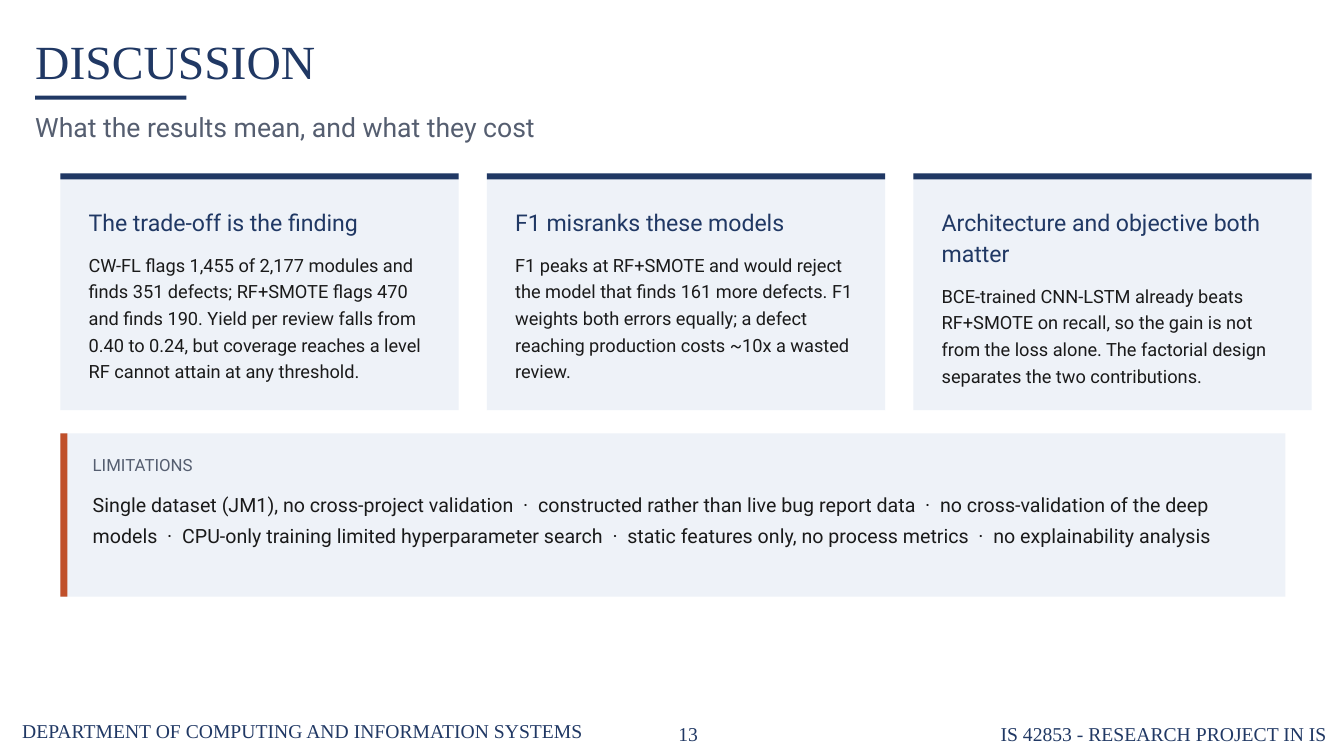
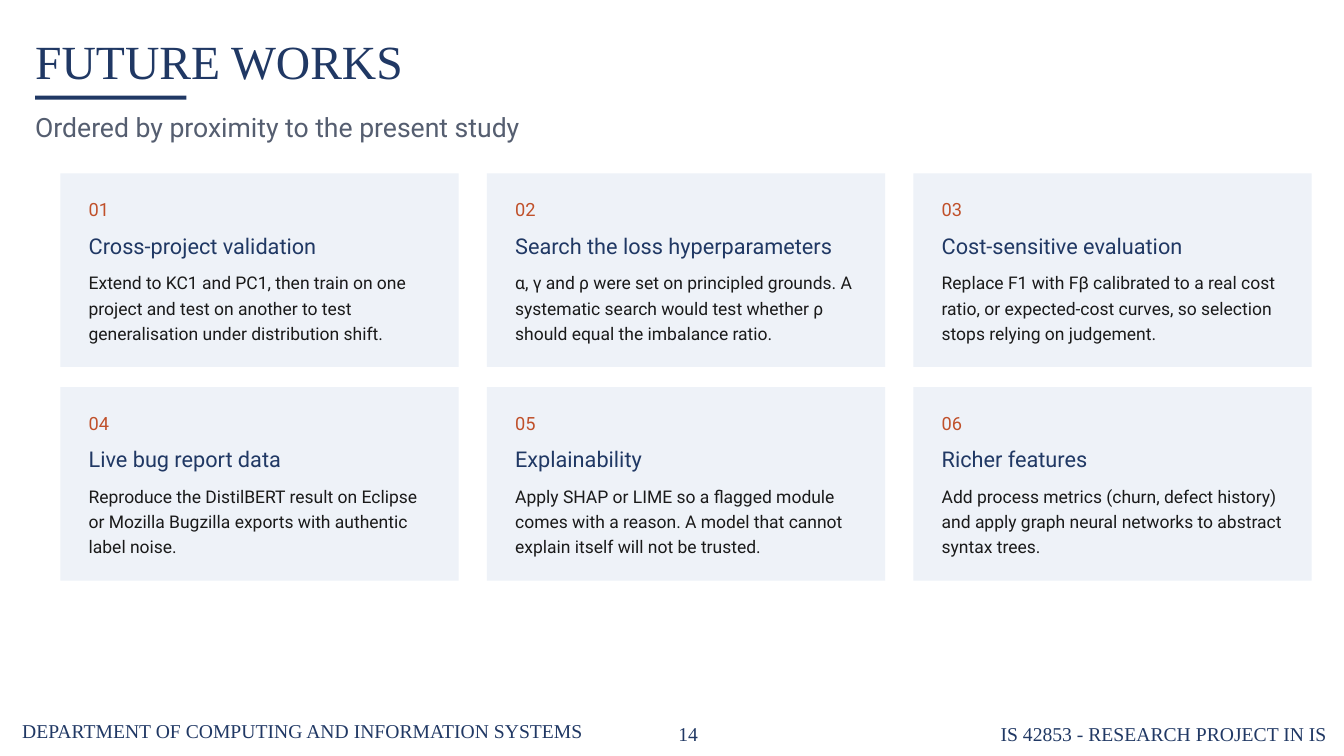
from pptx import Presentation
from pptx.dml.color import RGBColor
from pptx.enum import shapes, text
from pptx.util import Inches, Pt

NAVY, RUST, GREY, INK, PANEL = "203864", "C0502A", "555E70", "1A1A1A", "EEF2F8"
SERIF, SANS = "Times New Roman", "Roboto"
LEFT, CENTER, RIGHT = text.PP_ALIGN.LEFT, text.PP_ALIGN.CENTER, text.PP_ALIGN.RIGHT

CARD_LEFT, CARD_TOP, CARD_W = 0.6, 1.72, 3.95
COL_STEP, ROW_STEP = 4.23, 2.12
PAD, TEXT_W = 0.28, 3.4


def add_rect(s, x, y, w, h, color):
    sp = s.shapes.add_shape(shapes.MSO_SHAPE.RECTANGLE,
                            Inches(x), Inches(y), Inches(w), Inches(h))
    sp.shadow.inherit = False
    sp.fill.solid()
    sp.fill.fore_color.rgb = RGBColor.from_string(color)
    sp.line.fill.background()


def add_text(s, x, y, w, h, paragraphs, font=SANS, align=LEFT, anchor=text.MSO_ANCHOR.TOP):
    """Each paragraph is (wording, size, colour, line spacing, points after)."""
    tf = s.shapes.add_textbox(Inches(x), Inches(y), Inches(w), Inches(h)).text_frame
    tf.margin_left = tf.margin_top = tf.margin_right = tf.margin_bottom = 0
    tf.word_wrap = True
    tf.auto_size = text.MSO_AUTO_SIZE.SHAPE_TO_FIT_TEXT
    tf.vertical_anchor = anchor
    for i, (wording, size, color, spacing, after) in enumerate(paragraphs):
        p = tf.add_paragraph() if i else tf.paragraphs[0]
        p.alignment = align
        p.line_spacing = spacing
        p.space_after = Pt(after)
        r = p.add_run()
        r.text = wording
        r.font.name = font
        r.font.size = Pt(size)
        r.font.color.rgb = RGBColor.from_string(color)


prs = Presentation()
prs.slide_width, prs.slide_height = Inches(13.33), Inches(7.5)

# Shared title, rule, subtitle and footer
headings = [
    ("DISCUSSION", "What the results mean, and what they cost"),
    ("FUTURE WORKS", "Ordered by proximity to the present study"),
]
for number, (title, subtitle) in enumerate(headings, start=13):
    s = prs.slides.add_slide(prs.slide_layouts[6])
    for x, y, w, h, wording, align in [
        (0.22, 7.1, 6.02, 0.32, "DEPARTMENT OF COMPUTING AND INFORMATION SYSTEMS", LEFT),
        (9.72, 7.13, 3.44, 0.28, "IS 42853 - RESEARCH PROJECT IN IS", RIGHT),
        (6.39, 7.13, 0.87, 0.28, str(number), CENTER),
    ]:
        add_text(s, x, y, w, h, [(wording, 14, NAVY, 1.15, 0)], SERIF, align)
    add_text(s, 0.35, 0.2, 10.3, 0.72, [(title, 34, NAVY, 1.15, 0)], SERIF,
             anchor=text.MSO_ANCHOR.MIDDLE)
    add_rect(s, 0.35, 0.95, 1.5, 0.04, NAVY)
    add_text(s, 0.35, 1.05, 12.4, 0.44, [(subtitle, 19, GREY, 1.15, 0)])

discussion, future = prs.slides

# Discussion: three findings above the limitations
findings = [
    ("The trade-off is the finding",
     "CW-FL flags 1,455 of 2,177 modules and finds 351 defects; RF+SMOTE flags 470 and "
     "finds 190. Yield per review falls from 0.40 to 0.24, but coverage reaches a level "
     "RF cannot attain at any threshold."),
    ("F1 misranks these models",
     "F1 peaks at RF+SMOTE and would reject the model that finds 161 more defects. F1 "
     "weights both errors equally; a defect reaching production costs ~10x a wasted review."),
    ("Architecture and objective both matter",
     "BCE-trained CNN-LSTM already beats RF+SMOTE on recall, so the gain is not from the "
     "loss alone. The factorial design separates the two contributions."),
]
for col, (heading, body) in enumerate(findings):
    x = CARD_LEFT + col * COL_STEP
    add_rect(discussion, x, CARD_TOP, CARD_W, 2.35, PANEL)
    add_rect(discussion, x, CARD_TOP, CARD_W, 0.06, NAVY)
    add_text(discussion, x + PAD, CARD_TOP + 0.32, TEXT_W, 1.9,
             [(heading, 16.5, NAVY, 1.12, 9), (body, 13, INK, 1.22, 0)])

limitations = [
    "Single dataset (JM1), no cross-project validation",
    "constructed rather than live bug report data",
    "no cross-validation of the deep models",
    "CPU-only training limited hyperparameter search",
    "static features only, no process metrics",
    "no explainability analysis",
]
add_rect(discussion, CARD_LEFT, 4.3, 12.15, 1.62, PANEL)
add_rect(discussion, CARD_LEFT, 4.3, 0.07, 1.62, RUST)
add_text(discussion, 0.92, 4.48, 11.6, 1.3,
         [("LIMITATIONS", 12, GREY, 1.15, 8),
          ("  ·  ".join(limitations), 14, INK, 1.3, 0)])

# Future works: numbered cards, three to a row
works = [
    ("Cross-project validation",
     "Extend to KC1 and PC1, then train on one project and test on another to test "
     "generalisation under distribution shift."),
    ("Search the loss hyperparameters",
     "α, γ and ρ were set on principled grounds. A systematic search would test whether ρ "
     "should equal the imbalance ratio."),
    ("Cost-sensitive evaluation",
     "Replace F1 with Fβ calibrated to a real cost ratio, or expected-cost curves, so "
     "selection stops relying on judgement."),
    ("Live bug report data",
     "Reproduce the DistilBERT result on Eclipse or Mozilla Bugzilla exports with "
     "authentic label noise."),
    ("Explainability",
     "Apply SHAP or LIME so a flagged module comes with a reason. A model that cannot "
     "explain itself will not be trusted."),
    ("Richer features",
     "Add process metrics (churn, defect history) and apply graph neural networks to "
     "abstract syntax trees."),
]
for i, (heading, body) in enumerate(works):
    row, col = divmod(i, 3)
    x, y = CARD_LEFT + col * COL_STEP, CARD_TOP + row * ROW_STEP
    add_rect(future, x, y, CARD_W, 1.92, PANEL)
    add_text(future, x + PAD, y + 0.22, TEXT_W, 0.3, [(f"{i + 1:02}", 13, RUST, 1.15, 0)])
    add_text(future, x + PAD, y + 0.56, TEXT_W, 1.2,
             [(heading, 15.5, NAVY, 1.1, 7), (body, 12.5, INK, 1.2, 0)])

prs.save("out.pptx")
